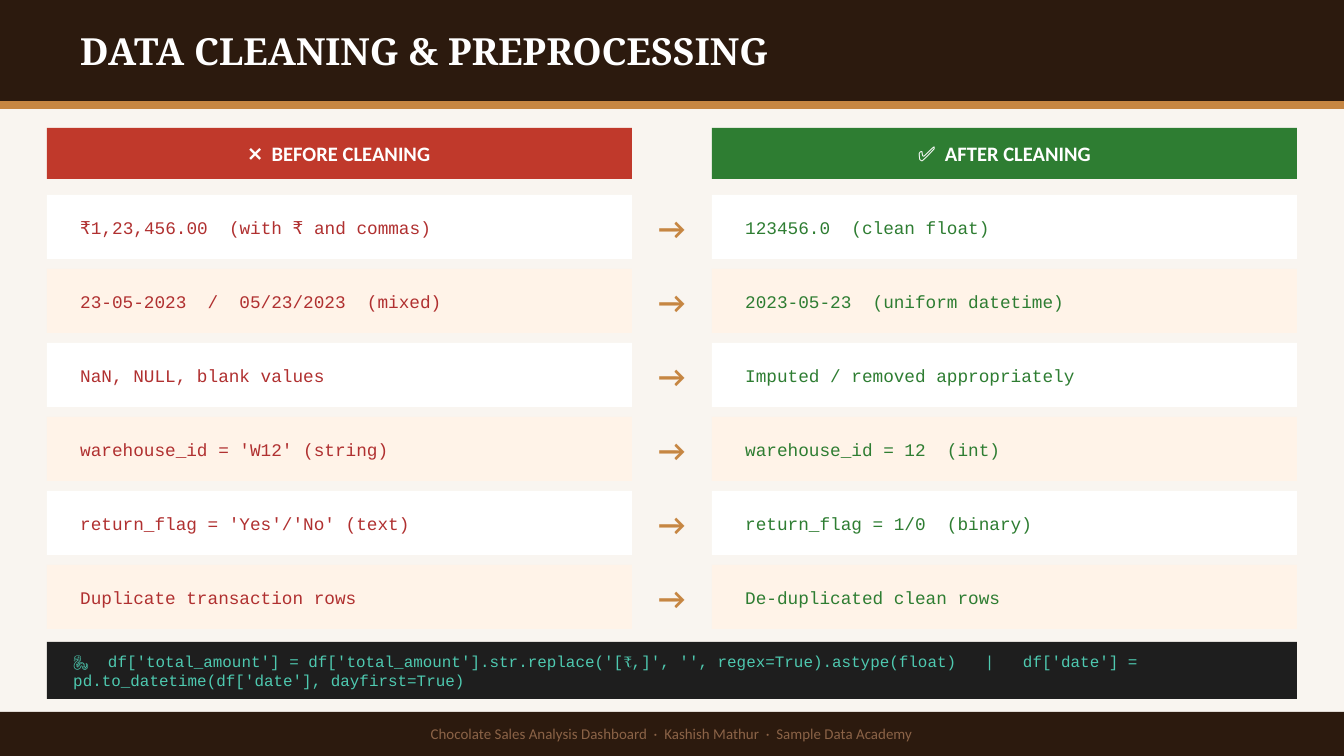
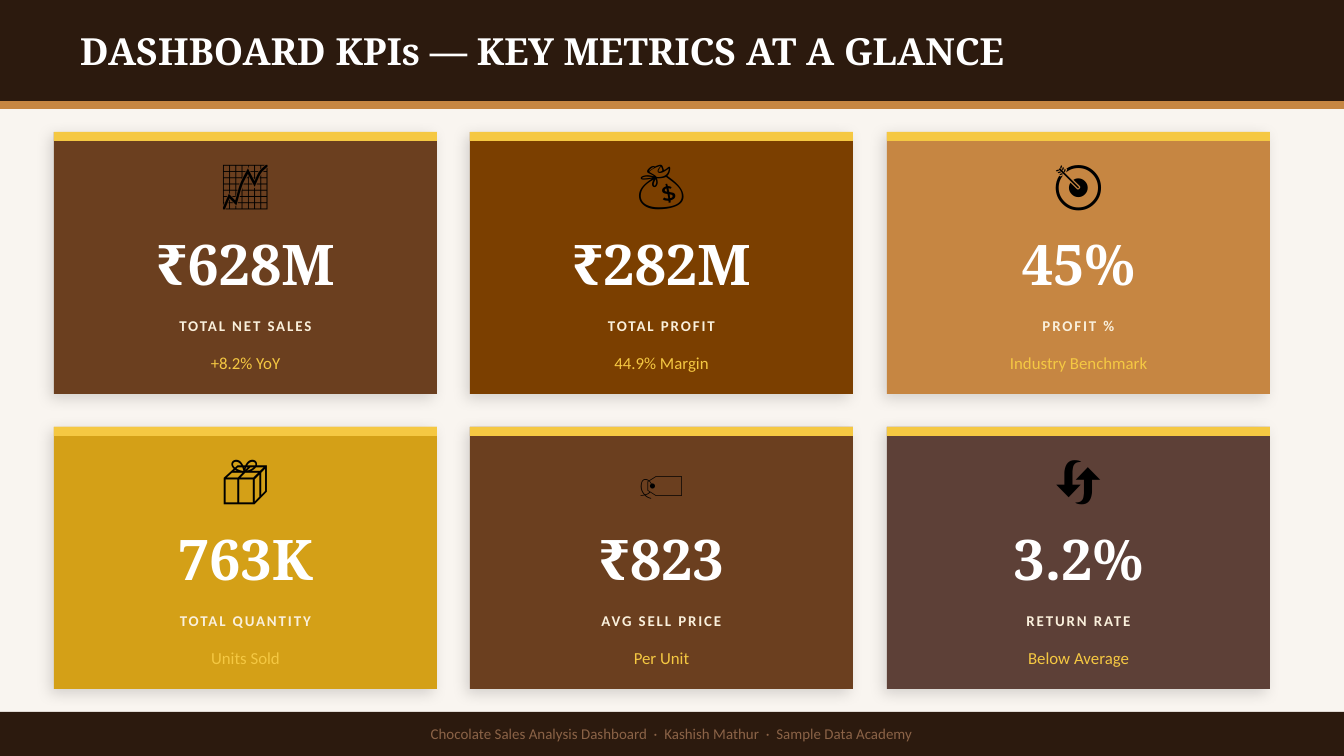
from lxml import etree
from pptx import Presentation
from pptx.dml.color import RGBColor
from pptx.enum.shapes import MSO_SHAPE
from pptx.enum.text import MSO_ANCHOR, PP_ALIGN
from pptx.oxml import parse_xml
from pptx.oxml.ns import nsdecls
from pptx.util import Pt

PX = 914400 / 134.4
WIDTH, HEIGHT = 1344, 756
COLORS = {
    "cream": "F9F5F0", "espresso": "2C1A0E", "caramel": "C68642", "white": "FFFFFF",
    "red": "C0392B", "green": "2E7D32", "brick": "B03030", "peach": "FFF3E8",
    "code": "1E1E1E", "teal": "4EC9B0", "footer": "8B6347", "gold": "F5C842",
    "cocoa": "6B3F1F", "chestnut": "7B3F00", "mustard": "D4A017", "mocha": "5D4037",
    "ivory": "FAF0DC", "black": "000000",
}
SANS, SERIF, MONO = "Calibri", "Noto Serif", "Courier New"
FOOTER = "Chocolate Sales Analysis Dashboard  ·  Kashish Mathur  ·  Sample Data Academy"
SHADOW = (
    f'<a:effectLst {nsdecls("a")}><a:outerShdw blurRad="{Pt(8)}" dist="{Pt(3)}" '
    f'dir="{135 * 60000}" algn="bl" rotWithShape="0"><a:srgbClr val="{COLORS["black"]}">'
    '<a:alpha val="15000"/></a:srgbClr></a:outerShdw></a:effectLst>'
)


def add_box(slide, x, y, w, h, color, shadow=False):
    box = slide.shapes.add_shape(MSO_SHAPE.RECTANGLE, *[round(v * PX) for v in (x, y, w, h)])
    box.fill.solid()
    box.fill.fore_color.rgb = RGBColor.from_string(COLORS[color])
    box.line.fill.background()
    box.shadow.inherit = False
    if shadow:
        effects = box._element.spPr.find("{*}effectLst")
        effects.getparent().replace(effects, parse_xml(SHADOW))


def add_text(slide, x, y, w, h, text, size, color, font=SANS, bold=False,
             align=PP_ALIGN.CENTER, inset=True, spacing=0):
    frame = slide.shapes.add_textbox(*[round(v * PX) for v in (x, y, w, h)]).text_frame
    frame.word_wrap = True
    frame.vertical_anchor = MSO_ANCHOR.MIDDLE
    if not inset:
        frame.margin_left = frame.margin_right = frame.margin_top = frame.margin_bottom = 0
    paragraph = frame.paragraphs[0]
    paragraph.alignment = align
    run = paragraph.add_run()
    run.text = text
    run.font.size = Pt(size)
    run.font.name = font
    run.font.bold = bold
    run.font.color.rgb = RGBColor.from_string(COLORS[color])
    if spacing:
        run.font._element.set("spc", str(spacing * 100))


prs = Presentation()
prs.slide_width = round(WIDTH * PX)
prs.slide_height = round(HEIGHT * PX)

slides = []
for title in ("DATA CLEANING & PREPROCESSING", "DASHBOARD KPIs — KEY METRICS AT A GLANCE"):
    slide = prs.slides.add_slide(prs.slide_layouts[6])
    slide.background.fill.solid()
    slide.background.fill.fore_color.rgb = RGBColor.from_string(COLORS["cream"])
    add_box(slide, 0, 0, WIDTH, 101, "espresso")
    add_text(slide, 67, 0, 1210, 101, title, 20, "white", SERIF, True, PP_ALIGN.LEFT)
    add_box(slide, 0, 101, WIDTH, 8, "caramel")
    add_box(slide, 0, 712, WIDTH, 44, "espresso")
    add_text(slide, 0, 712, WIDTH, 44, FOOTER, 8, "footer")
    slides.append(slide)
cleaning, metrics = slides

COLUMN_W = 585
columns = [
    (47, "❌  BEFORE CLEANING", "red", "brick"),
    (712, "✅  AFTER CLEANING", "green", "green"),
]
for x, heading, band, ink in columns:
    add_box(cleaning, x, 128, COLUMN_W, 51, band)
    add_text(cleaning, x, 128, COLUMN_W, 51, heading, 11, "white", bold=True, inset=False)

rows = [
    ("₹1,23,456.00  (with ₹ and commas)", "123456.0  (clean float)"),
    ("23-05-2023  /  05/23/2023  (mixed)", "2023-05-23  (uniform datetime)"),
    ("NaN, NULL, blank values", "Imputed / removed appropriately"),
    ("warehouse_id = 'W12' (string)", "warehouse_id = 12  (int)"),
    ("return_flag = 'Yes'/'No' (text)", "return_flag = 1/0  (binary)"),
    ("Duplicate transaction rows", "De-duplicated clean rows"),
]
for i, row in enumerate(rows):
    y = 195 + i * 74
    for (x, heading, band, ink), text in zip(columns, row):
        add_box(cleaning, x, y, COLUMN_W, 64, "peach" if i % 2 else "white")
        add_text(cleaning, x + 20, y + 8, 551, 48, text, 9.5, ink, MONO, align=PP_ALIGN.LEFT)
    add_text(cleaning, 632, y + 11, 80, 43, "→", 16, "caramel", bold=True)

code = ("🐍  df['total_amount'] = df['total_amount'].str.replace('[₹,]', '', regex=True)"
        ".astype(float)   |   df['date'] = pd.to_datetime(df['date'], dayfirst=True)")
add_box(cleaning, 47, 642, 1250, 57, "code")
add_text(cleaning, 60, 642, 1223, 57, code, 8.5, "teal", MONO, align=PP_ALIGN.LEFT)

CARD_W, CARD_H, PAD = 383, 262, 13
cards = [
    ("📈", "₹628M", "TOTAL NET SALES", "+8.2% YoY", "cocoa"),
    ("💰", "₹282M", "TOTAL PROFIT", "44.9% Margin", "chestnut"),
    ("🎯", "45%", "PROFIT %", "Industry Benchmark", "caramel"),
    ("📦", "763K", "TOTAL QUANTITY", "Units Sold", "mustard"),
    ("🏷️", "₹823", "AVG SELL PRICE", "Per Unit", "cocoa"),
    ("🔄", "3.2%", "RETURN RATE", "Below Average", "mocha"),
]
for i, (icon, value, label, note, color) in enumerate(cards):
    x = (54, 470, 887)[i % 3]
    y = (132, 427)[i // 3]
    inner_x, inner_w = x + PAD, CARD_W - 2 * PAD
    add_box(metrics, x, y, CARD_W, CARD_H, color, shadow=True)
    add_box(metrics, x, y, CARD_W, 9, "gold")
    add_text(metrics, x, y + 13, CARD_W, 74, icon, 26, "black")
    add_text(metrics, inner_x, y + 91, inner_w, 81, value, 30, "white", SERIF, True)
    add_text(metrics, inner_x, y + 172, inner_w, 43, label, 8, "ivory", bold=True, spacing=1)
    add_text(metrics, inner_x, y + 212, inner_w, 38, note, 9, "gold")

prs.save("out.pptx")
